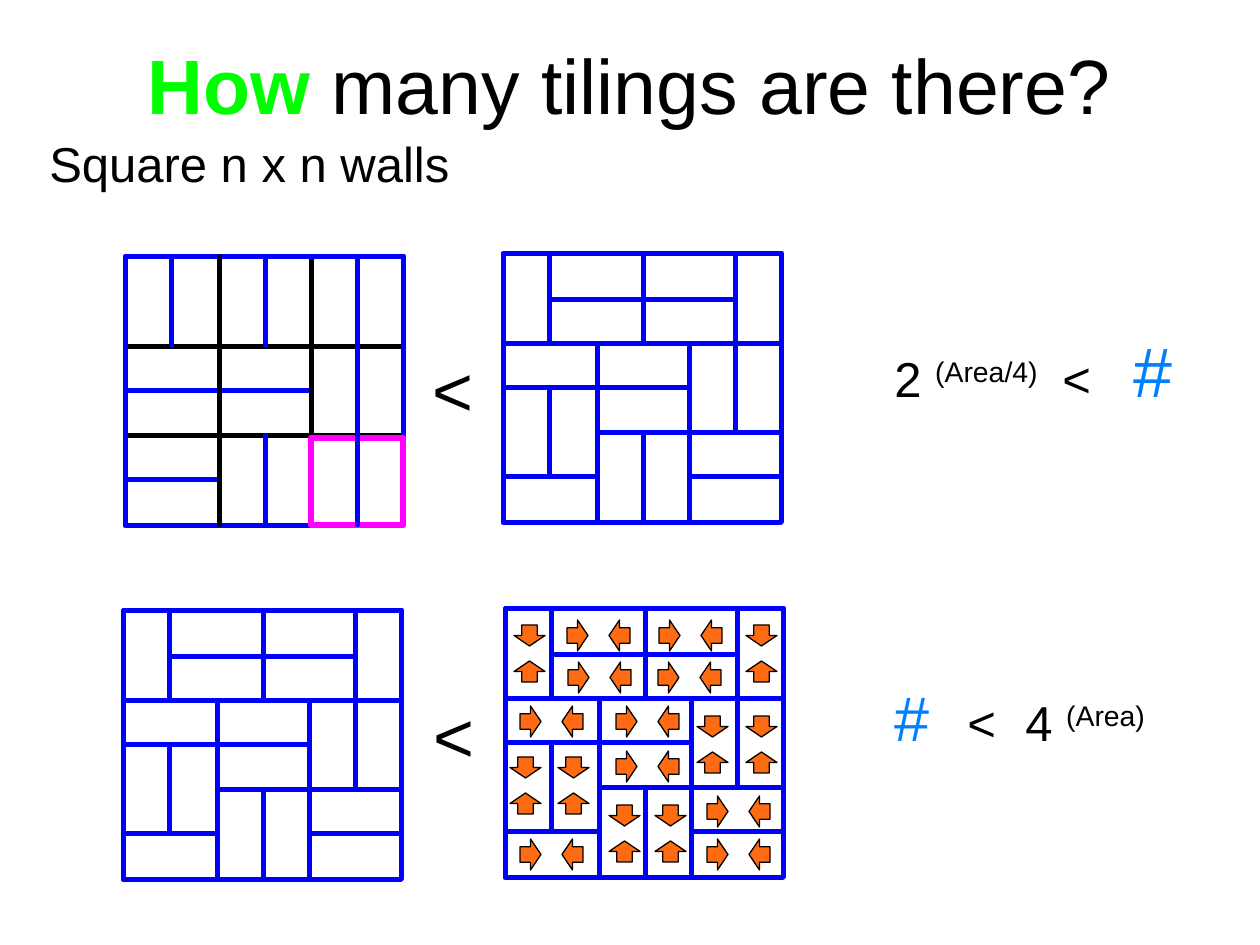
import pptx
import pptx.util
import pptx.dml.color
import pptx.enum.shapes
import pptx.enum.text
import lxml.etree
import pptx.oxml.ns

RGB = pptx.dml.color.RGBColor
SHAPE = pptx.enum.shapes.MSO_SHAPE
ALIGN = pptx.enum.text.PP_ALIGN
BLACK = RGB(0, 0, 0)
BLUE = RGB(0, 0, 255)
GREEN = RGB(0, 255, 0)
MAGENTA = RGB(255, 0, 255)
SKY = RGB(0, 128, 255)
ORANGE = RGB(255, 107, 19)
PX = 914400 / 126


def add_box(kind, box, fill, line, width):
    sp = s.shapes.add_shape(kind, *[round(v * PX) for v in box])
    sp.shadow.inherit = False
    if fill is None:
        sp.fill.background()
    else:
        sp.fill.solid()
        sp.fill.fore_color.rgb = fill
    sp.line.color.rgb = line
    sp.line.width = pptx.util.Pt(width)


def write(sp, box, align, runs, tabs=()):
    sp.left, sp.top, sp.width, sp.height = [round(v * PX) for v in box]
    tf = sp.text_frame
    tf.word_wrap = True
    p = tf.paragraphs[0]
    p.alignment = align
    if tabs:
        tab_list = lxml.etree.SubElement(p._p.get_or_add_pPr(), pptx.oxml.ns.qn("a:tabLst"))
        for pos in tabs:
            lxml.etree.SubElement(tab_list, pptx.oxml.ns.qn("a:tab"), pos=str(round(pos * PX)), algn="l")
    for text, size, color, bold, raised in runs:
        r = p.add_run()
        r.text = text
        r.font.name = "Arial"
        r.font.size = pptx.util.Pt(size)
        r.font.color.rgb = color
        r.font.bold = bold
        if raised:
            r._r.get_or_add_rPr().set("baseline", "30000")


prs = pptx.Presentation()
prs.slide_width = round(1260 * PX)
prs.slide_height = round(945 * PX)
s = prs.slides.add_slide(prs.slide_layouts[5])

title = s.shapes.title
write(title, (94, 5, 1071, 158), ALIGN.CENTER, [
    ("How ", 44, GREEN, True, False),
    ("many tilings are there?", 44, BLACK, False, False),
])
title.text_frame.vertical_anchor = pptx.enum.text.MSO_ANCHOR.MIDDLE

texts = [
    ((37, 127, 430, 72), ALIGN.LEFT, [("Square n x n walls", 28, BLACK, False, False)], ()),
    ((882, 321, 323, 97), ALIGN.LEFT, [
        ("2 ", 28, BLACK, False, False),
        ("(Area/4)", 28, BLACK, False, True),
        ("\t<\t", 28, BLACK, False, False),
        ("#", 40, SKY, False, False),
    ], (168, 239)),
    ((882, 672, 291, 89), ALIGN.LEFT, [
        ("#", 36, SKY, False, False),
        ("\t<\t4 ", 28, BLACK, False, False),
        ("(Area)", 28, BLACK, False, True),
    ], (73, 131)),
    ((404, 340, 98, 97), ALIGN.CENTER, [("<", 40, BLACK, False, False)], ()),
    ((405, 686, 98, 97), ALIGN.CENTER, [("<", 40, BLACK, False, False)], ()),
]
for box, align, runs, tabs in texts:
    write(s.shapes.add_textbox(0, 0, 0, 0), box, align, runs, tabs)

cols = [0, 46, 94, 140, 186, 232, 278]
rows = [0, 46, 90, 134, 179, 223, 269]

mixed = [
    ("h", 6, 0, 6, BLUE), ("h", 4, 0, 6, BLACK), ("h", 2, 0, 6, BLACK),
    ("h", 3, 0, 4, BLUE), ("h", 5, 0, 2, BLUE), ("v", 6, 0, 6, BLUE),
    ("v", 5, 0, 4, BLUE), ("v", 4, 0, 6, BLACK), ("v", 3, 4, 6, BLUE),
    ("v", 2, 2, 6, BLUE), ("v", 3, 0, 2, BLUE), ("v", 1, 0, 2, BLUE),
    ("v", 0, 0, 6, BLUE), ("h", 0, 0, 6, BLUE), ("v", 2, 0, 6, BLACK),
    ("block", 4, 4, 6, MAGENTA), ("v", 5, 4, 6, BLUE),
]
tiling = [
    ("h", 6, 0, 6, BLUE), ("h", 5, 4, 6, BLUE), ("h", 4, 2, 6, BLUE),
    ("h", 2, 0, 6, BLUE), ("h", 1, 1, 5, BLUE), ("h", 3, 0, 4, BLUE),
    ("h", 5, 0, 2, BLUE), ("v", 6, 0, 6, BLUE), ("v", 5, 0, 4, BLUE),
    ("v", 4, 2, 6, BLUE), ("v", 3, 4, 6, BLUE), ("v", 2, 2, 6, BLUE),
    ("v", 3, 0, 2, BLUE), ("v", 1, 3, 5, BLUE), ("v", 1, 0, 2, BLUE),
    ("v", 0, 0, 6, BLUE), ("h", 0, 0, 6, BLUE),
]
walls = [(503, 253, tiling), (125, 256, mixed), (123, 610, tiling), (505, 608, tiling)]
for left, top, parts in walls:
    for kind, at, start, end, color in parts:
        if kind == "h":
            box = (left + cols[start], top + rows[at], cols[end] - cols[start], 1)
            add_box(SHAPE.RECTANGLE, box, BLUE, color, 2)
        elif kind == "v":
            box = (left + cols[at], top + rows[start], 1, rows[end] - rows[start])
            add_box(SHAPE.RECTANGLE, box, BLUE, color, 2)
        else:
            box = (left + cols[at], top + rows[start] + 3, cols[6] - cols[at], rows[end] - rows[start] - 3)
            add_box(SHAPE.RECTANGLE, box, None, color, 3.75)

upright = [(514, 625), (746, 625), (746, 716), (697, 716),
           (558, 757), (510, 757), (609, 805), (655, 805)]
for x, y in upright:
    add_box(SHAPE.DOWN_ARROW, (x, y, 31, 21), ORANGE, BLACK, 0.75)
    add_box(SHAPE.UP_ARROW, (x, y + 36, 31, 21), ORANGE, BLACK, 0.75)

flat = [(659, 620), (658, 662), (567, 620), (568, 662), (616, 706),
        (520, 706), (616, 751), (707, 796), (707, 839), (520, 839)]
for x, y in flat:
    add_box(SHAPE.RIGHT_ARROW, (x, y, 21, 31), ORANGE, BLACK, 0.75)
    add_box(SHAPE.LEFT_ARROW, (x + 42, y, 21, 31), ORANGE, BLACK, 0.75)

prs.save("out.pptx")
